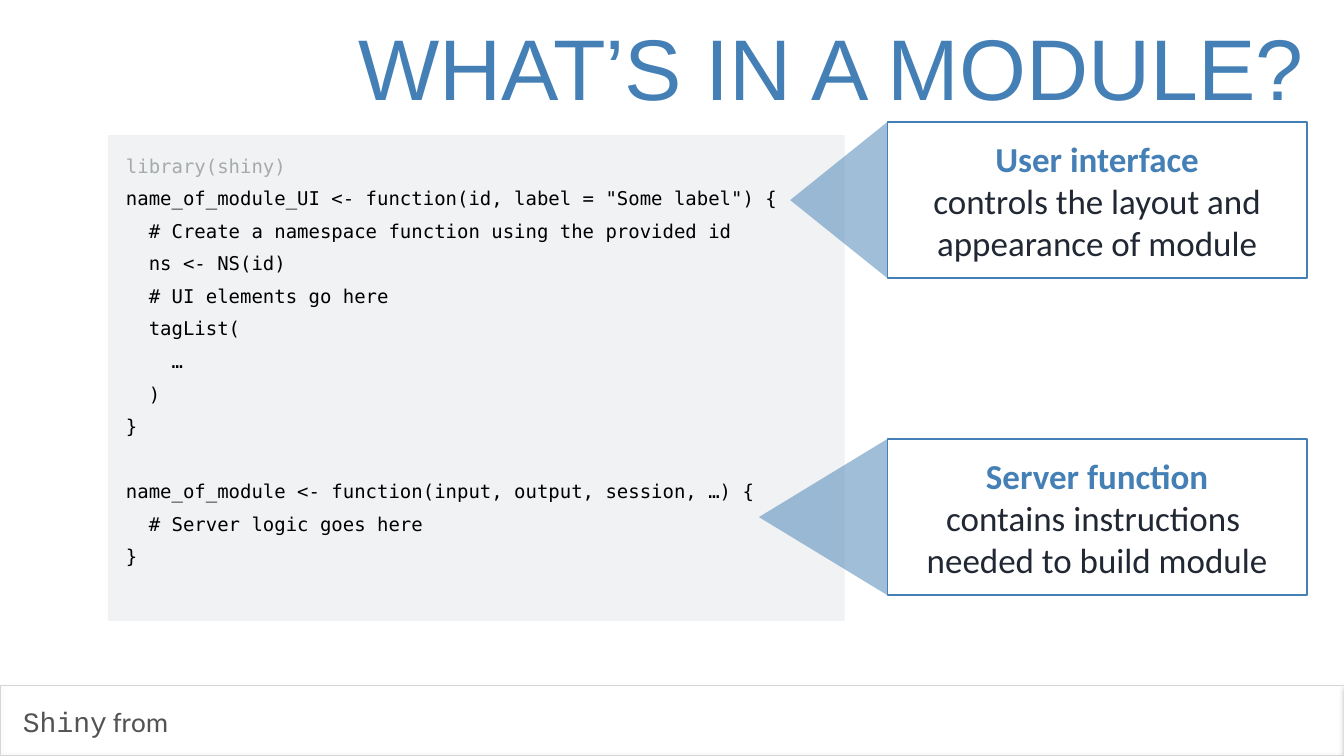
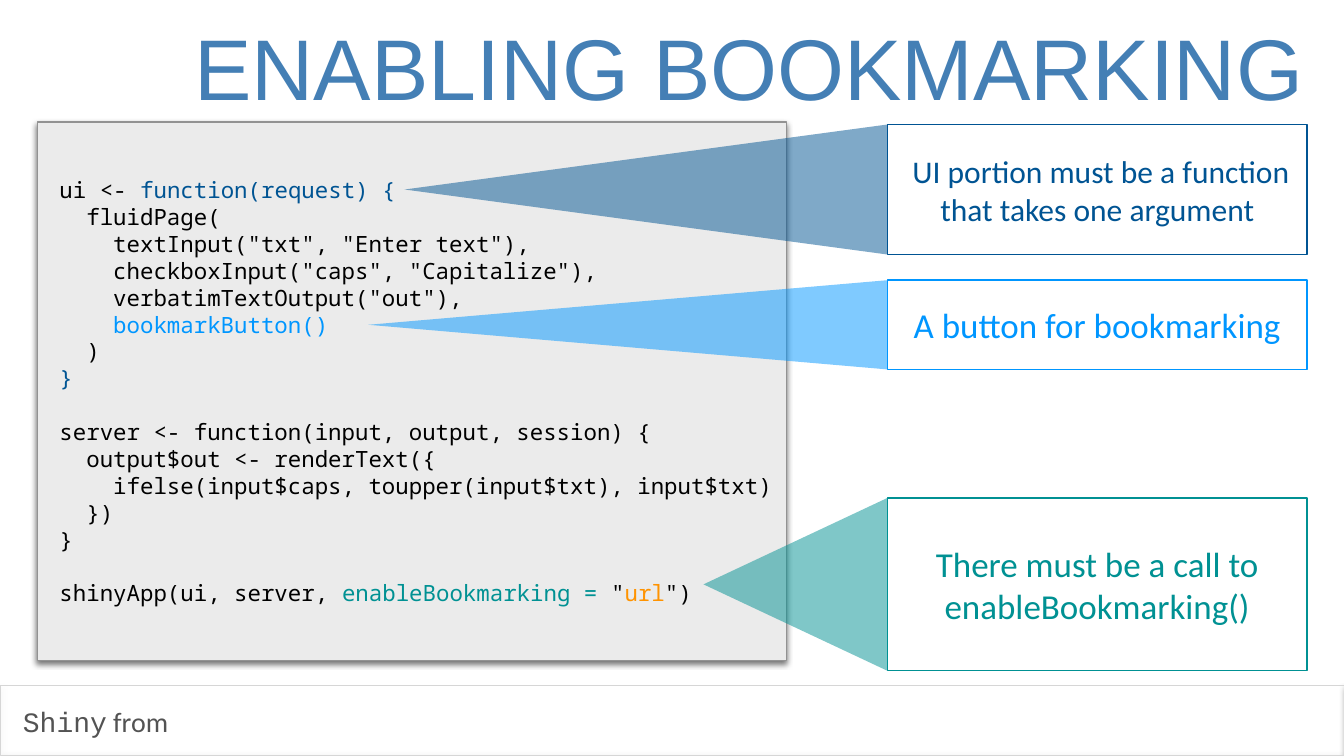
from lxml import etree
from pptx import Presentation
from pptx import util as u
from pptx.dml.color import RGBColor
from pptx.enum import shapes, text
from pptx.oxml.ns import qn

BLUE, NAVY, SKY, TEAL, ORANGE = "447FB5", "005493", "0096FF", "009193", "FF9300"
BLACK, WHITE, INK, GREY, FOOTER_GREY = "000000", "FFFFFF", "212833", "A6AAA9", "535353"
TITLE_FONT, BODY_FONT, FOOTER_CODE_FONT = "Arial", "Calibri", "Courier New"
INSET = 0.06
CALLOUT_LEFT, CALLOUT_WIDTH = 17.61, 8.33


def rgb(value):
    return RGBColor.from_string(value)


def inches(*lengths):
    return [u.Inches(length) for length in lengths]


def add_shadow(shape, opacity, blur, distance, angle):
    """Outer black shadow; opacity in percent, blur and distance in points."""
    properties = shape.element.spPr
    for old in properties.findall(qn("a:effectLst")):
        properties.remove(old)
    effects = etree.SubElement(properties, qn("a:effectLst"))
    shadow = etree.SubElement(effects, qn("a:outerShdw"), blurRad=str(u.Pt(blur)),
                              dist=str(u.Pt(distance)), dir=str(angle * 60000), rotWithShape="0")
    color = etree.SubElement(shadow, qn("a:srgbClr"), val=BLACK)
    etree.SubElement(color, qn("a:alpha"), val=str(opacity * 1000))


def set_fill_opacity(shape, percent):
    color = shape.element.spPr.find(qn("a:solidFill")).find(qn("a:srgbClr"))
    etree.SubElement(color, qn("a:alpha"), val=str(percent * 1000))


def format_frame(frame, inset=INSET, anchor=text.MSO_ANCHOR.MIDDLE, wrap=True):
    frame.word_wrap = wrap
    frame.auto_size = text.MSO_AUTO_SIZE.NONE
    frame.vertical_anchor = anchor
    frame.margin_left = frame.margin_right = u.Inches(inset)
    frame.margin_top = frame.margin_bottom = u.Inches(inset)


def fill_paragraph(paragraph, runs, size, font, color):
    """Runs are a string, or a list of strings and (text, colour) pairs."""
    for item in [runs] if isinstance(runs, str) else runs:
        words, run_color = (item, color) if isinstance(item, str) else item
        run = paragraph.add_run()
        run.text = words
        run.font.size = u.Pt(size)
        run.font.name = font
        run.font.color.rgb = rgb(run_color)


class Deck:
    def __init__(self):
        self.presentation = Presentation()
        self.presentation.slide_width, self.presentation.slide_height = inches(26.67, 15)
        self.layout = self.presentation.slide_layouts.get_by_name("Title Only")
        self.slide = None

    def start_slide(self, title):
        first = self.slide is None
        self.slide = self.presentation.slides.add_slide(self.layout)
        if first:
            self.move_footer_to_layout()
        shape = self.slide.shapes.title
        shape.left, shape.top, shape.width, shape.height = inches(0.73, 0.23, 25.21, 2.18)
        frame = shape.text_frame
        format_frame(frame)
        frame.text = title
        paragraph = frame.paragraphs[0]
        paragraph.alignment = text.PP_ALIGN.RIGHT
        font = paragraph.runs[0].font
        font.size, font.name, font.color.rgb = u.Pt(123), TITLE_FONT, rgb(BLUE)

    def move_footer_to_layout(self):
        band = self.rectangle((0.01, 13.6, 26.67, 1.39), line="D6D6D6", line_width=1)
        add_shadow(band, 50, 4, 1.6, 90)
        label = self.slide.shapes.add_textbox(*inches(0.27, 13.93, 3.15, 0.78))
        format_frame(label.text_frame, wrap=False)
        paragraph = label.text_frame.paragraphs[0]
        for words, font in ((" ", BODY_FONT), ("Shiny", FOOTER_CODE_FONT), (" from", BODY_FONT)):
            fill_paragraph(paragraph, words, 40, font, FOOTER_GREY)
        for shape in (band, label):
            self.layout.shapes.element.append(shape.element)

    def rectangle(self, box, fill=None, line=None, line_width=2, parent=None):
        parent = parent or self.slide.shapes
        shape = parent.add_shape(shapes.MSO_SHAPE.RECTANGLE, *inches(*box))
        shape.shadow.inherit = False
        if fill:
            shape.fill.solid()
            shape.fill.fore_color.rgb = rgb(fill)
        else:
            shape.fill.background()
        if line:
            shape.line.color.rgb = rgb(line)
            shape.line.width = u.Pt(line_width)
        else:
            shape.line.fill.background()
        return shape

    def code(self, box, lines, size, font, gap=0, **frame_options):
        """Code listing; an empty line becomes extra space before the next one."""
        frame = self.slide.shapes.add_textbox(*inches(*box)).text_frame
        format_frame(frame, **frame_options)
        line_height = 1.2 * size
        blanks = 0
        for number, line in enumerate(lines):
            if not line:
                blanks += 1
                continue
            paragraph = frame.add_paragraph() if number else frame.paragraphs[0]
            paragraph.line_spacing = u.Pt(line_height)
            if number:
                paragraph.space_before = u.Pt(gap + blanks * (gap + line_height))
            fill_paragraph(paragraph, line, size, font, BLACK)
            blanks = 0

    def callout(self, top, height, tip, color, lines, heading=None, size=50):
        """Box at the right with a translucent pointer reaching left to tip."""
        group = self.slide.shapes.add_group_shape().shapes
        box = self.rectangle((CALLOUT_LEFT, top, CALLOUT_WIDTH, height), WHITE, color, parent=group)
        frame = box.text_frame
        format_frame(frame)
        paragraphs = [(heading, color)] if heading else []
        paragraphs += [(line, INK if heading else color) for line in lines]
        for number, (words, text_color) in enumerate(paragraphs):
            paragraph = frame.add_paragraph() if number else frame.paragraphs[0]
            paragraph.alignment = text.PP_ALIGN.CENTER
            fill_paragraph(paragraph, words, size, BODY_FONT, text_color)
        if heading:
            frame.paragraphs[0].runs[0].font.bold = True

        outline = group.build_freeform(*inches(tip, top + height / 2))
        outline.add_line_segments([inches(CALLOUT_LEFT, top), inches(CALLOUT_LEFT, top + height)])
        pointer = outline.convert_to_shape()
        pointer.shadow.inherit = False
        pointer.fill.solid()
        pointer.fill.fore_color.rgb = rgb(color)
        set_fill_opacity(pointer, 50)
        pointer.line.fill.background()


def add_module_slide(deck):
    deck.start_slide("WHAT’S IN A MODULE?")
    deck.rectangle((2.14, 2.68, 14.62, 9.64), fill="F0F2F4")
    deck.code((2.42, 2.98, 14.04, 9.04), [
        [("library(shiny)", GREY)],
        'name_of_module_UI <- function(id, label = "Some label") {',
        "  # Create a namespace function using the provided id",
        "  ns <- NS(id)",
        "  # UI elements go here",
        "  tagList(",
        "    …",
        "  )",
        "}",
        "",
        "name_of_module <- function(input, output, session, …) {",
        "  # Server logic goes here",
        "}",
    ], 27.1, "DejaVu Sans Mono", gap=14, inset=0.08, anchor=text.MSO_ANCHOR.TOP)
    deck.callout(2.42, 3.1, 15.68, BLUE, ["controls the layout and appearance of module"],
                 heading="User interface")
    deck.callout(8.71, 3.1, 15.06, BLUE, ["contains instructions ", "needed to build module"],
                 heading="Server function")


def add_bookmarking_slide(deck):
    deck.start_slide("ENABLING BOOKMARKING")
    panel = deck.rectangle((0.74, 2.42, 14.87, 10.69), fill="EBEBEB", line="929292")
    add_shadow(panel, 55, 8, 4, 91)
    deck.code((1.12, 3.4, 14.3, 8.73), [
        ["ui <- ", ("function(request) {", NAVY)],
        "  fluidPage(",
        '    textInput("txt", "Enter text"),',
        '    checkboxInput("caps", "Capitalize"),',
        '    verbatimTextOutput("out"),',
        [("    bookmarkButton()", SKY)],
        "  )",
        [("}", NAVY)],
        "",
        "server <- function(input, output, session) {",
        "  output$out <- renderText({",
        "    ifelse(input$caps, toupper(input$txt), input$txt)",
        "  })",
        "}",
        "",
        ["shinyApp(ui, server, ", ("enableBookmarking = ", TEAL), '"', ("url", ORANGE), '")'],
    ], 32, "Noto Sans Mono")
    deck.callout(9.88, 3.43, 13.96, TEAL, ["There must be a call to enableBookmarking()"])
    deck.callout(5.56, 1.77, 7.31, SKY, ["A button for bookmarking"])
    deck.callout(2.47, 2.58, 8.03, NAVY,
                 [" UI portion must be a function that takes one argument"], size=45)


def main():
    deck = Deck()
    add_module_slide(deck)
    add_bookmarking_slide(deck)
    deck.presentation.save("out.pptx")


if __name__ == "__main__":
    main()
